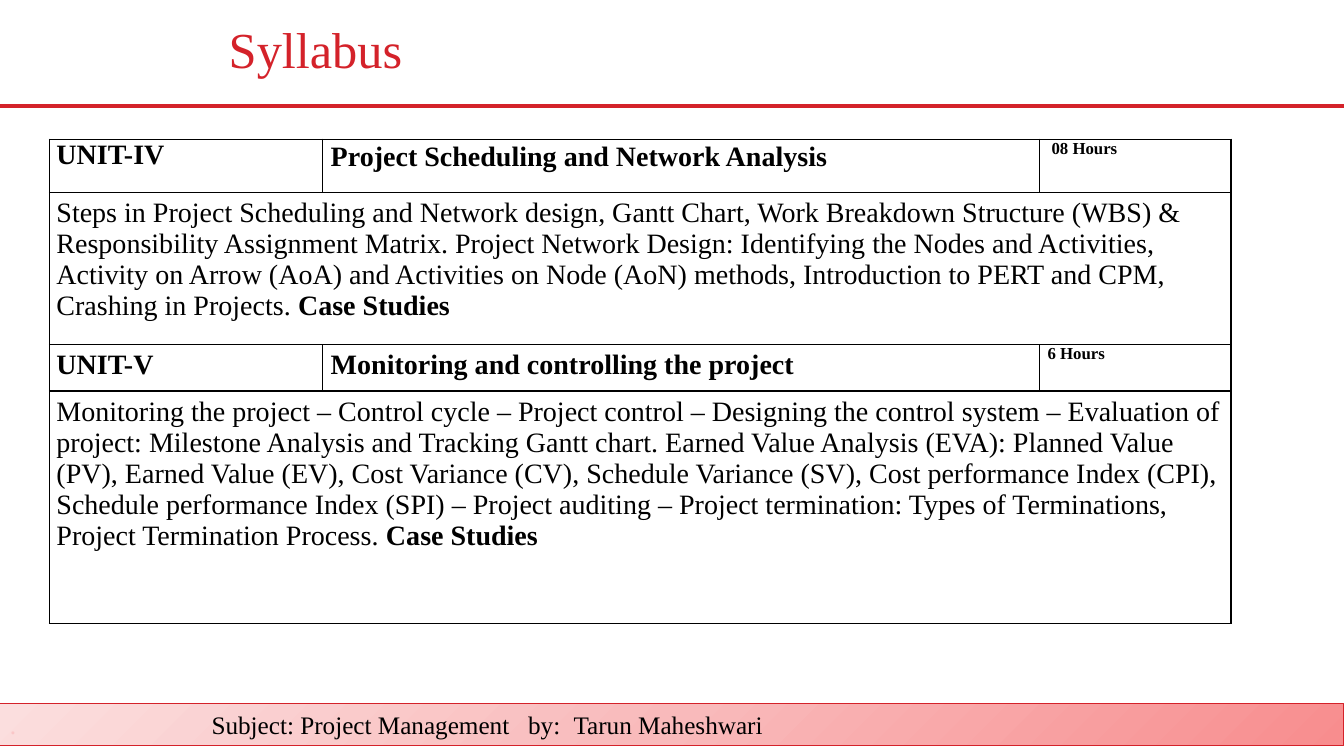
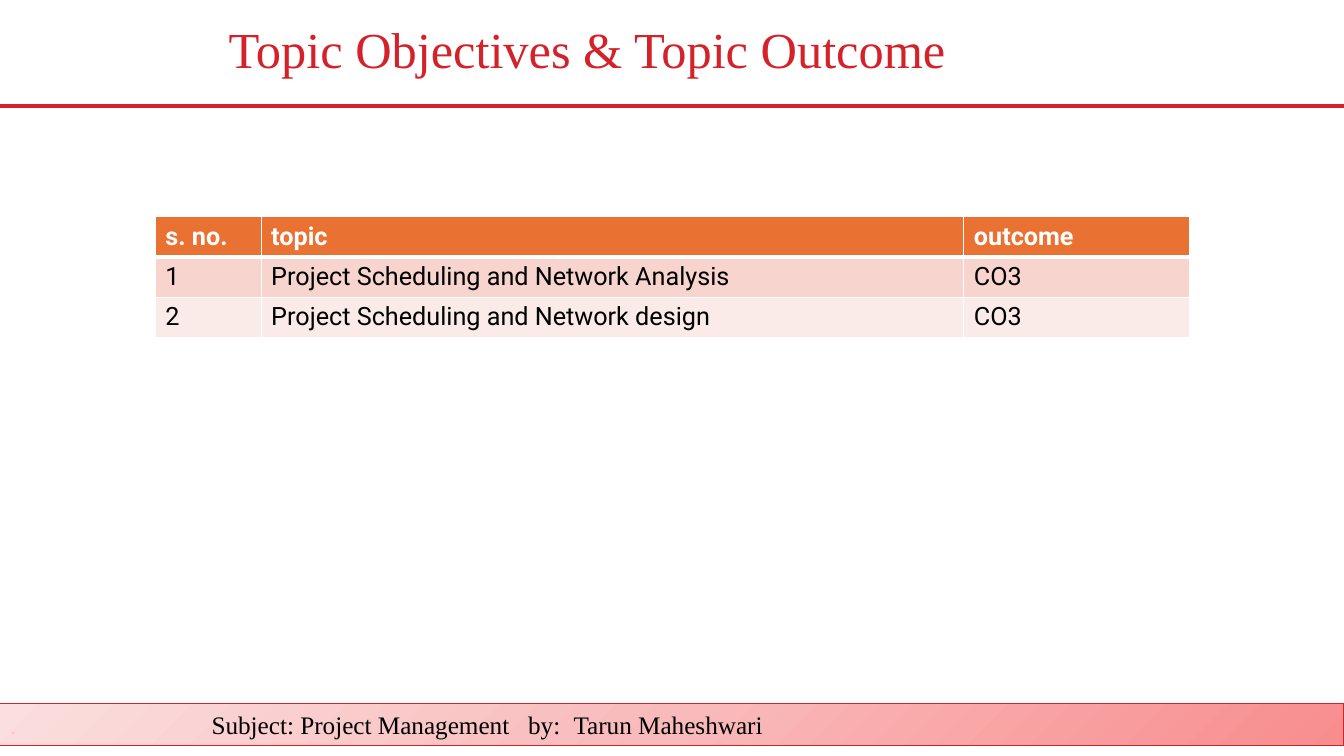
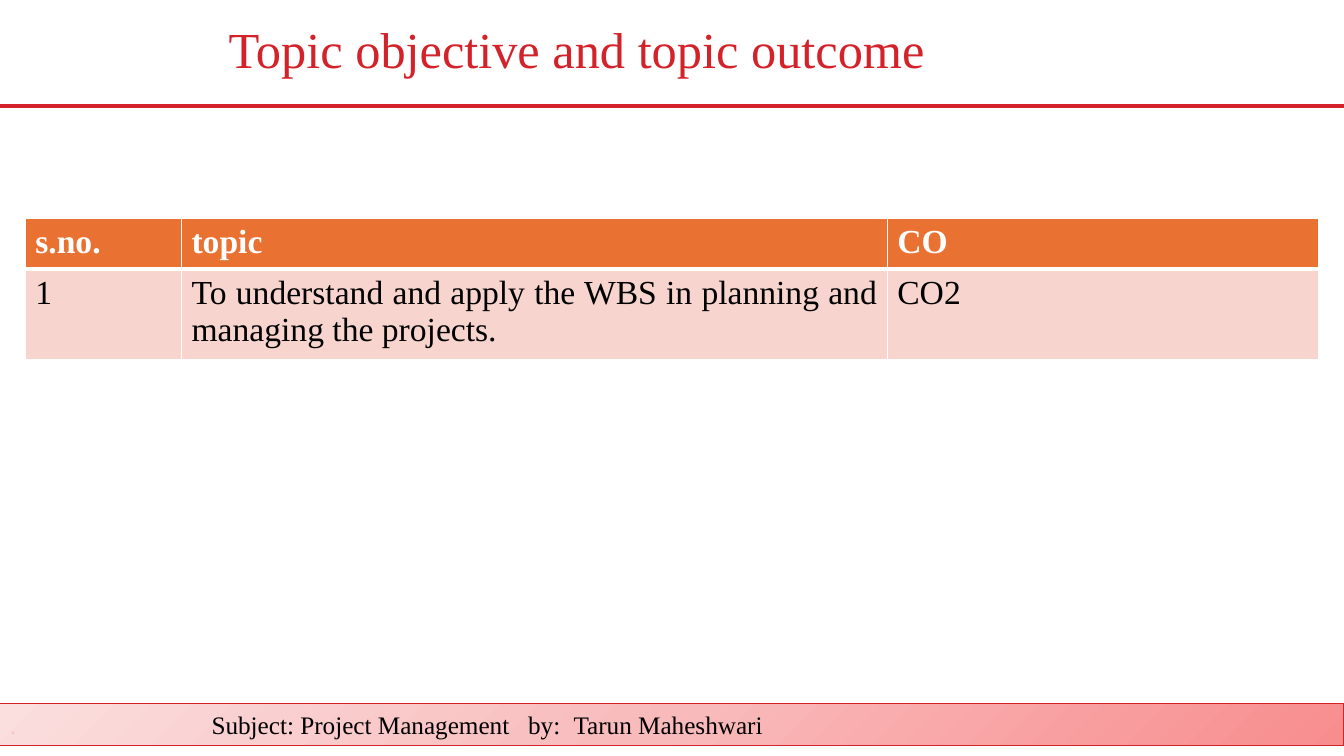
from copy import deepcopy
from dataclasses import dataclass

from lxml.etree import SubElement
from pptx import Presentation
from pptx.dml.color import RGBColor
from pptx.enum.shapes import MSO_CONNECTOR, MSO_SHAPE
from pptx.enum.text import MSO_ANCHOR, PP_ALIGN
from pptx.oxml import parse_xml
from pptx.oxml.ns import nsdecls, qn
from pptx.util import Inches, Pt


@dataclass(frozen=True)
class Theme:
    accent: str = "D4222A"
    ink: str = "000000"
    paper: str = "FFFFFF"
    header: str = "E97132"
    bands: tuple = ("F7D5CE", "FBEBE8")
    footer_stops: tuple = ((0, "F88D8E"), (0.5, "F9BABB"), (1, "FBDEDE"))
    footer_dot: str = "FAC6C7"
    serif: str = "Times New Roman"
    sans: str = "Roboto"
    title_size: int = 36
    large_size: int = 24
    unit_size: int = 20
    body_size: int = 18
    hours_size: int = 12


THEME = Theme()
WIDTH, HEIGHT = 13.33, 7.5
RULE_TOP = 1.05
FOOTER_TOP, FOOTER_HEIGHT = 6.98, 0.42
FOOTER_TABS = (2, 5.14, 5.59)
FOOTER_RUNS = [
    (".", {"color": THEME.footer_dot}),
    ("\tSubject: Project Management\tby:\tTarun Maheshwari", {}),
]
CASE_STUDIES = ("Case Studies", {"bold": True})

UNITS = [
    {
        "heading": ("UNIT-IV", "Project Scheduling and Network Analysis", "08 Hours"),
        "indents": (0.07, 0.08, 0.12),
        "tops": (0, 0.02, 0),
        "rows": (0.53, 1.51),
        "topics": "Steps in Project Scheduling and Network design, Gantt Chart, Work Breakdown "
        "Structure (WBS) & Responsibility Assignment Matrix. Project Network Design: "
        "Identifying the Nodes and Activities, Activity on Arrow (AoA) and Activities on "
        "Node (AoN) methods, Introduction to PERT and CPM, Crashing in Projects. ",
    },
    {
        "heading": ("UNIT-V", "Monitoring and controlling the project", "6 Hours"),
        "indents": (0.07, 0.08, 0.08),
        "tops": (0.05, 0.05, 0),
        "rows": (0.46, 2.31),
        "topics": "Monitoring the project – Control cycle – Project control – Designing the "
        "control system – Evaluation of project: Milestone Analysis and Tracking Gantt "
        "chart. Earned Value Analysis (EVA): Planned Value (PV), Earned Value (EV), Cost "
        "Variance (CV), Schedule Variance (SV), Cost performance Index (CPI), Schedule "
        "performance Index (SPI) – Project auditing – Project termination: Types of "
        "Terminations, Project Termination Process. ",
    },
]
SYLLABUS = {"title": "Syllabus", "at": (0.49, 1.38), "cols": (2.71, 7.11, 1.9)}

OUTCOMES = [
    {
        "title": "Topic Objectives & Topic Outcome",
        "at": (1.54, 2.15),
        "cols": (1.05, 6.97, 2.24),
        "rows": (0.39, 0.39, 0.39),
        "format": {"font": THEME.sans, "size": THEME.body_size},
        "justified": (),
        "cells": [
            ("s. no.", "topic", "outcome"),
            ("1", "Project Scheduling and Network Analysis", "CO3"),
            ("2", "Project Scheduling and Network design", "CO3"),
        ],
    },
    {
        "title": "Topic objective and topic outcome",
        "at": (0.25, 2.17),
        "cols": (1.55, 7, 4.28),
        "rows": (0.46, 0.83),
        "format": {"font": THEME.serif, "size": THEME.large_size},
        "justified": ((1, 1),),
        "cells": [
            ("s.no.", "topic", "CO"),
            ("1", "To understand and apply the WBS in planning and managing the projects.", "CO2"),
        ],
    },
]


def rgb(color):
    return RGBColor.from_string(color)


def write(frame, text, *, font=THEME.serif, size=THEME.body_size, color=THEME.ink,
          bold=False, align=PP_ALIGN.LEFT, spacing=None, tabs=()):
    paragraph = frame.paragraphs[0]
    paragraph.alignment = align
    if spacing:
        paragraph.line_spacing = spacing
    if tabs:
        stops = SubElement(paragraph._p.get_or_add_pPr(), qn("a:tabLst"))
        for stop in tabs:
            SubElement(stops, qn("a:tab"), pos=str(Inches(stop)), algn="l")
    for words, change in [(text, {})] if isinstance(text, str) else text:
        run = paragraph.add_run()
        run.text = words
        run.font.name = font
        run.font.size = Pt(size)
        run.font.bold = change.get("bold", bold)
        run.font.color.rgb = rgb(change.get("color", color))


def draw_rule(slide):
    rule = slide.shapes.add_connector(
        MSO_CONNECTOR.STRAIGHT, 0, Inches(RULE_TOP), Inches(WIDTH), Inches(RULE_TOP))
    rule.line.color.rgb = rgb(THEME.accent)
    rule.line.width = Pt(3)
    SubElement(rule._element.spPr, qn("a:effectLst"))


def draw_footer(slide):
    footer = slide.shapes.add_shape(
        MSO_SHAPE.RECTANGLE, 0, Inches(FOOTER_TOP), Inches(WIDTH), Inches(FOOTER_HEIGHT))
    footer.shadow.inherit = False
    footer.line.color.rgb = rgb(THEME.accent)
    footer.line.width = Pt(0.75)
    footer.fill.gradient()
    footer.fill.gradient_angle = 135
    stops = footer._element.spPr.find(".//" + qn("a:gsLst"))
    stops.insert(1, deepcopy(stops[0]))
    for stop, (position, color) in zip(footer.fill.gradient_stops, THEME.footer_stops):
        stop.position = position
        stop.color.rgb = rgb(color)
    footer.text_frame.vertical_anchor = MSO_ANCHOR.MIDDLE
    write(footer.text_frame, FOOTER_RUNS, tabs=FOOTER_TABS)


def add_page(deck, title):
    slide = deck.slides.add_slide(deck.slide_layouts[6])
    draw_rule(slide)
    draw_footer(slide)
    heading = slide.shapes.add_textbox(Inches(2.17), Inches(0.1), Inches(11.11), Inches(0.84))
    heading.text_frame.word_wrap = True
    heading.text_frame.vertical_anchor = MSO_ANCHOR.MIDDLE
    write(heading.text_frame, title, size=THEME.title_size, color=THEME.accent, spacing=0.9)
    return slide


def add_grid(slide, at, cols, rows):
    left, top = at
    grid = slide.shapes.add_table(
        len(rows), len(cols), Inches(left), Inches(top),
        Inches(sum(cols)), Inches(sum(rows))).table
    grid.first_row = grid.horz_banding = False
    for column, width in zip(grid.columns, cols):
        column.width = Inches(width)
    for row, height in zip(grid.rows, rows):
        row.height = Inches(height)
    return grid


def style_cell(cell, border, fill=None, bottom=1):
    if fill:
        cell.fill.solid()
        cell.fill.fore_color.rgb = rgb(fill)
    else:
        cell.fill.background()
    properties = cell._tc.get_or_add_tcPr()
    for place, (side, width) in enumerate(zip("LRTB", (1, 1, 1, bottom))):
        properties.insert(place, parse_xml(
            f'<a:ln{side} {nsdecls("a")} w="{Pt(width)}"><a:solidFill>'
            f'<a:srgbClr val="{border}"/></a:solidFill></a:ln{side}>'))


def inset(cell, left, top):
    cell.margin_left, cell.margin_top = Inches(left), Inches(top)
    cell.margin_right = cell.margin_bottom = 0


def build_syllabus(deck):
    slide = add_page(deck, SYLLABUS["title"])
    heights = [height for unit in UNITS for height in unit["rows"]]
    grid = add_grid(slide, SYLLABUS["at"], SYLLABUS["cols"], heights)
    for cell in grid.iter_cells():
        style_cell(cell, THEME.ink)
    sizes = (THEME.unit_size, THEME.unit_size, THEME.hours_size)
    for number, unit in enumerate(UNITS):
        row = 2 * number
        parts = zip(unit["heading"], unit["indents"], unit["tops"], sizes)
        for column, (words, indent, top, size) in enumerate(parts):
            cell = grid.cell(row, column)
            inset(cell, indent, top)
            write(cell.text_frame, words, size=size, bold=True)
        topics = grid.cell(row + 1, 0)
        topics.merge(grid.cell(row + 1, len(SYLLABUS["cols"]) - 1))
        inset(topics, 0.07, 0.05)
        write(topics.text_frame, [(unit["topics"], {}), CASE_STUDIES], size=THEME.unit_size)


def build_outcomes(deck, page):
    slide = add_page(deck, page["title"])
    grid = add_grid(slide, page["at"], page["cols"], page["rows"])
    for row, entries in enumerate(page["cells"]):
        is_header = row == 0
        fill = THEME.header if is_header else THEME.bands[(row - 1) % 2]
        for column, words in enumerate(entries):
            cell = grid.cell(row, column)
            style_cell(cell, THEME.paper, fill, bottom=3 if is_header else 1)
            justified = (row, column) in page["justified"]
            write(cell.text_frame, words, bold=is_header,
                  color=THEME.paper if is_header else THEME.ink,
                  align=PP_ALIGN.JUSTIFY if justified else PP_ALIGN.LEFT, **page["format"])


def main():
    deck = Presentation()
    deck.slide_width, deck.slide_height = Inches(WIDTH), Inches(HEIGHT)
    build_syllabus(deck)
    for page in OUTCOMES:
        build_outcomes(deck, page)
    deck.save("out.pptx")


if __name__ == "__main__":
    main()
